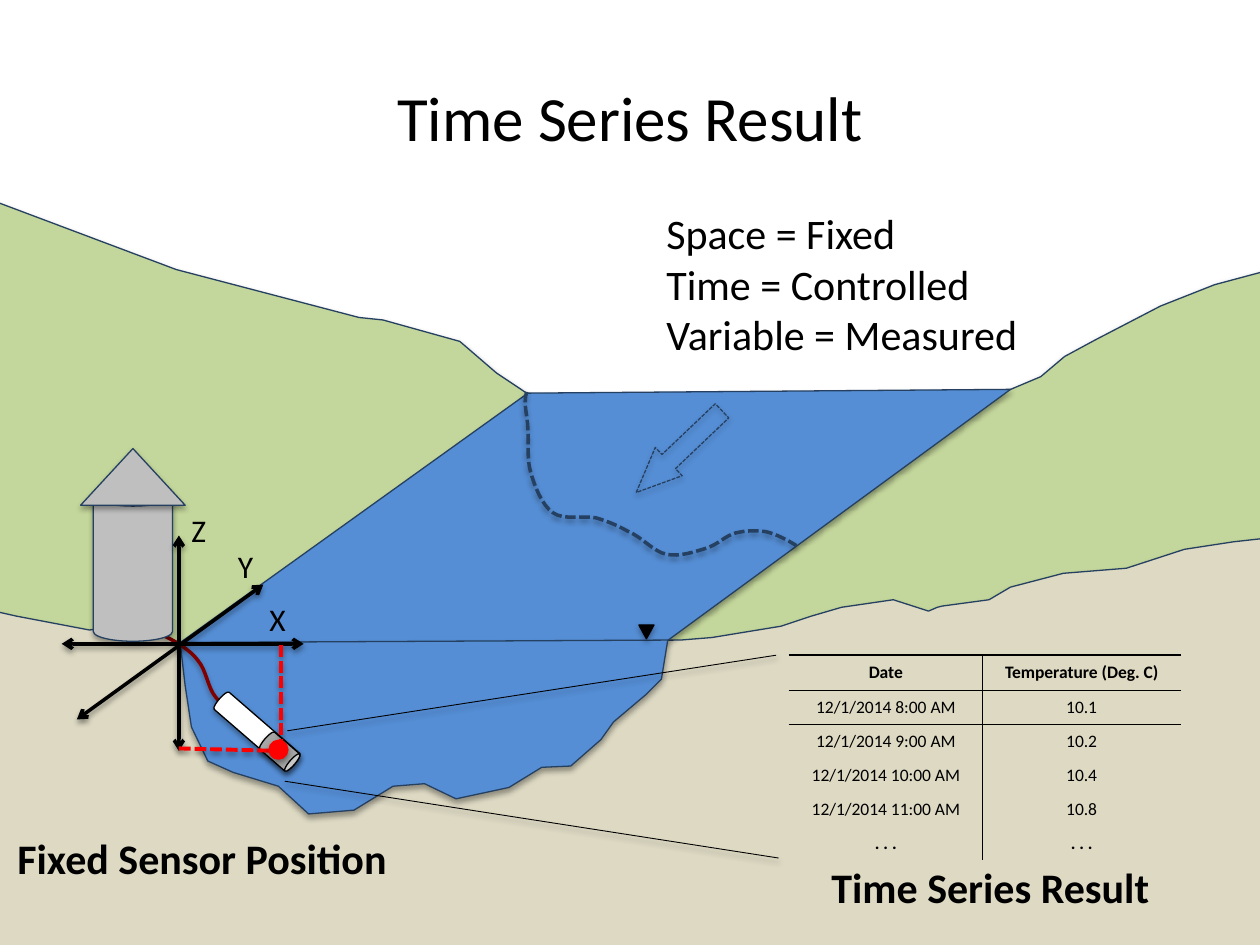
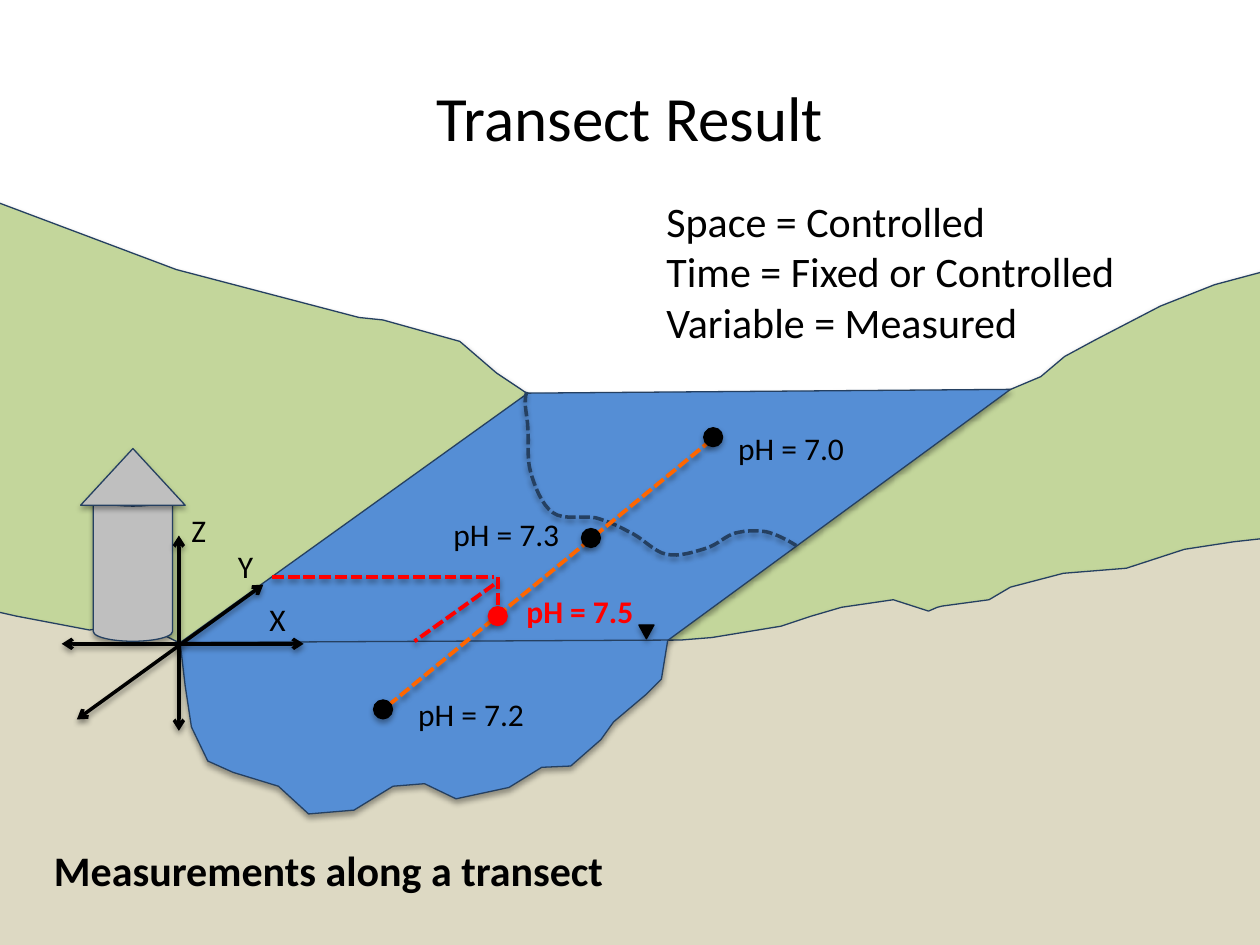
from dataclasses import dataclass

from pptx import Presentation
from pptx.dml.color import RGBColor
from pptx.enum.dml import MSO_LINE
from pptx.enum.shapes import MSO_CONNECTOR, MSO_SHAPE
from pptx.enum.text import MSO_ANCHOR, PP_ALIGN
from pptx.oxml import parse_xml
from pptx.oxml.ns import nsdecls
from pptx.util import Inches, Pt


@dataclass(frozen=True)
class Theme:
    font: str = "Calibri"
    title: int = 36
    heading: int = 24
    label: int = 18
    cell: int = 10
    ink: str = "000000"
    paper: str = "FFFFFF"
    outline: str = "254061"
    bank: str = "C3D69B"
    ground: str = "DDD9C3"
    water: str = "558ED5"
    tower: str = "BFBFBF"
    sensor_tip: str = "A6A6A6"
    cable: str = "800000"
    mark: str = "FF0000"
    transect: str = "FF6600"
    thin: float = 0.5
    edge: float = 0.75
    axis: float = 2
    dash: float = 2.25


T = Theme()
WIDTH, HEIGHT = 10, 7.5
DOT = 0.15
NO_STYLE = "{2D5ABB26-0587-4C30-8999-92F81FD0307C}"

# Scenery outlines, as points in inches
RIGHT_BANK = [(10.2, 2.11), (9.64, 2.26), (9.21, 2.43), (8.69, 2.7), (8.45, 2.83),
              (8.26, 2.99), (8, 3.1), (7.53, 3.22), (5.25, 5.02), (5.19, 7.58),
              (10.43, 7.58)]
LEFT_BANK = [(-0.01, 1.61), (1.4, 2.14), (2.85, 2.52), (3.04, 2.54), (3.65, 2.71),
             (3.94, 2.96), (4.18, 3.12), (4.19, 5.41), (-0.54, 5.49), (-0.5, 1.52)]
GROUND = [(0.13, 4.89), (0.71, 5), (1.02, 4.96), (1.28, 5.03), (1.42, 5.1),
          (5.4, 5.08), (5.65, 5.06), (6.2, 4.97), (6.44, 4.89), (6.68, 4.82),
          (7.09, 4.76), (7.37, 4.85), (7.44, 4.82), (7.48, 4.81), (7.85, 4.76),
          (8.02, 4.66), (8.44, 4.55), (8.94, 4.51), (9.4, 4.36), (9.79, 4.3),
          (10.06, 4.27), (10.07, 7.54), (-0.2, 7.55), (-0.18, 4.82)]
SURFACE = [(1.43, 5.1), (4.19, 3.12), (8.02, 3.09), (5.29, 5.09)]
CROSS_SECTION = [(1.43, 5.1), (5.3, 5.08), (5.25, 5.39), (5.13, 5.51), (4.87, 5.73),
                 (4.77, 5.87), (4.53, 6.08), (4.3, 6.09), (4.04, 6.25), (3.62, 6.34),
                 (3.37, 6.22), (3.12, 6.24), (2.81, 6.43), (2.45, 6.46), (2.21, 6.24),
                 (1.85, 6.13), (1.65, 6.04), (1.52, 5.77), (1.47, 5.44)]

# Curves: a start point, then two controls and an end point per segment
RIVER_BED = [(4.18, 3.11), (4.15, 3.21), (4.19, 3.3), (4.19, 3.41),
             (4.2, 3.51), (4.18, 3.63), (4.21, 3.74),
             (4.24, 3.85), (4.3, 4.01), (4.39, 4.07),
             (4.47, 4.13), (4.63, 4.09), (4.73, 4.11),
             (4.83, 4.14), (4.9, 4.17), (4.99, 4.22),
             (5.09, 4.26), (5.19, 4.38), (5.29, 4.4),
             (5.4, 4.42), (5.51, 4.38), (5.61, 4.35),
             (5.7, 4.32), (5.76, 4.25), (5.84, 4.23),
             (5.92, 4.21), (6, 4.21), (6.08, 4.22),
             (6.16, 4.24), (6.24, 4.28), (6.32, 4.33)]
CABLE = [(1.31, 5.05), (1.41, 5.1), (1.51, 5.16), (1.57, 5.24),
         (1.64, 5.32), (1.65, 5.46), (1.71, 5.53),
         (1.76, 5.6), (1.84, 5.63), (1.91, 5.67)]

AXIS_LABELS = [("Z", 1.42, 4.01), ("X", 2.04, 4.71), ("Y", 1.79, 4.29)]

SERIES = [("Date", "Temperature (Deg. C)"),
          ("12/1/2014 8:00 AM", "10.1"),
          ("12/1/2014 9:00 AM", "10.2"),
          ("12/1/2014 10:00 AM", "10.4"),
          ("12/1/2014 11:00 AM", "10.8"),
          (". . .", ". . .")]
SERIES_COLS = (1.54, 1.57)
SERIES_HEAD, SERIES_ROW = 0.28, 0.27
ZOOM_LINES = [((2.28, 5.8), (6.16, 5.2)), ((2.26, 6.2), (6.18, 6.81))]
SENSOR_OFFSETS = [((2.23, 5.12), (2.23, 5.96)), ((1.42, 5.94), (2.23, 5.96))]
SENSOR_POINT = (2.21, 5.95)

# Text, centre of the dot, corner of the label, colour
SAMPLES = [("pH = 7.2", (3.04, 5.63), (3.22, 5.47), T.ink),
           ("pH = 7.5", (3.95, 4.89), (4.08, 4.65), T.mark),
           ("pH = 7.3", (4.69, 4.27), (3.5, 4.04), T.ink),
           ("pH = 7.0", (5.66, 3.47), (5.76, 3.36), T.ink)]
SAMPLE_OFFSETS = [((3.95, 4.58), (3.95, 4.82)), ((2.16, 4.58), (3.92, 4.58)),
                  ((3.92, 4.64), (3.29, 5.09))]


def rgb(code):
    return RGBColor.from_string(code)


def finish(sp, color, width, dashed=False, alpha=35):
    """Outline a shape or connector and give it the soft drop shadow."""
    sp.line.color.rgb = rgb(color)
    sp.line.width = Pt(width)
    if dashed:
        sp.line.dash_style = MSO_LINE.SQUARE_DOT
    sp._element.spPr.append(parse_xml(
        f'<a:effectLst {nsdecls("a")}><a:outerShdw blurRad="40000" dist="23000" '
        f'dir="5400000" rotWithShape="0"><a:srgbClr val="000000">'
        f'<a:alpha val="{alpha}000"/></a:srgbClr></a:outerShdw></a:effectLst>'))


def fill(sp, color):
    if color:
        sp.fill.solid()
        sp.fill.fore_color.rgb = rgb(color)
    else:
        sp.fill.background()


def add_outline(s, points, color=None, line=T.outline, width=T.edge, dashed=False):
    """Draw a filled closed outline, or an open path when no colour is given."""
    pts = [(Inches(x), Inches(y)) for x, y in points]
    builder = s.shapes.build_freeform(*pts[0])
    builder.add_line_segments(pts[1:], close=bool(color))
    sp = builder.convert_to_shape()
    fill(sp, color)
    finish(sp, line, width, dashed)


def sample_curve(points, steps=8):
    """Turn a chain of cubic segments into closely spaced points."""
    path = [points[0]]
    for i in range(0, len(points) - 1, 3):
        for n in range(1, steps + 1):
            t = n / steps
            weights = ((1 - t) ** 3, 3 * t * (1 - t) ** 2, 3 * t * t * (1 - t), t ** 3)
            path.append(tuple(sum(w * p[k] for w, p in zip(weights, points[i:i + 4]))
                              for k in (0, 1)))
    return path


def add_preset(s, kind, box, color=None, line=T.outline, rotation=0, dashed=False):
    sp = s.shapes.add_shape(kind, *map(Inches, box))
    sp.rotation = rotation
    fill(sp, color)
    finish(sp, line, T.edge, dashed)
    return sp


def add_dot(s, center, color):
    x, y = center
    add_preset(s, MSO_SHAPE.OVAL, (x - DOT / 2, y - DOT / 2, DOT, DOT), color, color)


def add_line(s, start, end, color=T.ink, width=T.axis, dashed=False, arrows=False):
    ln = s.shapes.add_connector(MSO_CONNECTOR.STRAIGHT, *map(Inches, start + end))
    finish(ln, color, width, dashed, alpha=38)
    if arrows:
        for tag in ("headEnd", "tailEnd"):
            ln.line._get_or_add_ln().append(
                parse_xml(f'<a:{tag} {nsdecls("a")} type="arrow"/>'))


def write(tf, text, size=T.label, color=T.ink, bold=False, align=PP_ALIGN.LEFT):
    for i, line in enumerate(text.split("\n")):
        p = tf.paragraphs[0] if i == 0 else tf.add_paragraph()
        p.alignment = align
        r = p.add_run()
        r.text = line
        r.font.name, r.font.size, r.font.bold = T.font, Pt(size), bold
        r.font.color.rgb = rgb(color)


def add_text(s, text, box, wrap=True, anchor=MSO_ANCHOR.TOP, **style):
    tf = s.shapes.add_textbox(*map(Inches, box)).text_frame
    tf.word_wrap = wrap
    tf.vertical_anchor = anchor
    write(tf, text, **style)


def add_heading(s, text, box, bold=True):
    add_text(s, text, box, wrap=False, size=T.heading, bold=bold)


def add_valley(prs, title):
    """Start a slide with the banks, ground, river and title."""
    s = prs.slides.add_slide(prs.slide_layouts[6])
    for points, color in ((RIGHT_BANK, T.bank), (LEFT_BANK, T.bank), (GROUND, T.ground)):
        add_outline(s, points, color)
    add_text(s, title, (0.5, 0.3, WIDTH - 1, 1.25), anchor=MSO_ANCHOR.MIDDLE,
             size=T.title, align=PP_ALIGN.CENTER)
    for points in (SURFACE, CROSS_SECTION):
        add_outline(s, points, T.water)
    add_outline(s, sample_curve(RIVER_BED), width=T.axis, dashed=True)
    return s


def add_station(s, z_bottom):
    """Add the gauge house, its three axes and the water level mark."""
    add_preset(s, MSO_SHAPE.CAN, (0.74, 3.86, 0.63, 1.23), T.tower)
    add_preset(s, MSO_SHAPE.ISOSCELES_TRIANGLE, (0.64, 3.56, 0.83, 0.45), T.tower)
    for start, end in (((1.42, 4.25), (1.42, z_bottom)), ((0.49, 5.11), (2.41, 5.11)),
                       ((2.09, 4.64), (0.61, 5.71))):
        add_line(s, start, end, arrows=True)
    for name, x, y in AXIS_LABELS:
        add_text(s, name, (x, y, 0.35, 0.4))
    add_preset(s, MSO_SHAPE.ISOSCELES_TRIANGLE, (5.07, 4.96, 0.12, 0.11),
               T.ink, T.ink, rotation=180)


def add_border(cell, sides):
    for side in sides:
        cell._tc.get_or_add_tcPr().append(parse_xml(
            f'<a:ln{side} {nsdecls("a")} w="12700"><a:solidFill>'
            f'<a:srgbClr val="{T.ink}"/></a:solidFill></a:ln{side}>'))


def add_series_table(s, left, top):
    height = SERIES_HEAD + SERIES_ROW * (len(SERIES) - 1)
    table = s.shapes.add_table(len(SERIES), len(SERIES_COLS), Inches(left), Inches(top),
                               Inches(sum(SERIES_COLS)), Inches(height)).table
    table.first_row = table.horz_banding = False
    table._tbl.tblPr[0].text = NO_STYLE
    for col, width in zip(table.columns, SERIES_COLS):
        col.width = Inches(width)
    for i, values in enumerate(SERIES):
        table.rows[i].height = Inches(SERIES_ROW if i else SERIES_HEAD)
        for j, value in enumerate(values):
            cell = table.cell(i, j)
            cell.vertical_anchor = MSO_ANCHOR.MIDDLE
            write(cell.text_frame, value, size=T.cell, align=PP_ALIGN.CENTER,
                  bold=i in (0, len(SERIES) - 1))
            sides = ["L" if j else "R"]
            if i == 0:
                sides += ["T", "B"]
            elif i == 1:
                sides += ["T"]
            add_border(cell, sides)
            cell.fill.background()


def build_time_series(prs):
    s = add_valley(prs, "Time Series Result")
    add_outline(s, sample_curve(CABLE), line=T.cable, width=T.axis)
    add_station(s, z_bottom=5.96)
    flow = add_preset(s, MSO_SHAPE.LEFT_ARROW, (4.92, 3.43, 0.94, 0.31),
                      rotation=316.4, dashed=True)
    flow.adjustments[1] = 1.15
    for box, color in (((1.95, 5.41, 0.18, 0.79), T.paper),
                       ((2.13, 5.81, 0.18, 0.31), T.sensor_tip)):
        add_preset(s, MSO_SHAPE.CAN, box, color, T.ink, rotation=130.9)
    add_heading(s, "Fixed Sensor Position", (0.04, 6.56, 3.18, 0.5))
    add_series_table(s, 6.26, 5.2)
    add_heading(s, "Time Series Result", (6.5, 6.79, 2.75, 0.5))
    for start, end in ZOOM_LINES:
        add_line(s, start, end, width=T.thin)
    for start, end in SENSOR_OFFSETS:
        add_line(s, start, end, T.mark, T.dash, dashed=True)
    add_heading(s, "Space = Fixed\nTime = Controlled\nVariable = Measured",
                (5.19, 1.6, 3.04, 1.31), bold=False)
    add_dot(s, SENSOR_POINT, T.mark)


def build_transect(prs):
    s = add_valley(prs, "Transect Result")
    add_station(s, z_bottom=5.8)
    add_heading(s, "Measurements along a transect", (0.33, 6.65, 4.62, 0.5))
    add_line(s, (3.08, 5.6), (5.66, 3.48), T.transect, T.dash, dashed=True)
    for start, end in SAMPLE_OFFSETS:
        add_line(s, start, end, T.mark, T.dash, dashed=True)
    for text, center, corner, color in SAMPLES:
        add_dot(s, center, color)
        add_text(s, text, corner + (1.13, 0.4), color=color, bold=color == T.mark)
    add_heading(s, "Space = Controlled\nTime = Fixed or Controlled\nVariable = Measured",
                (5.19, 1.5, 3.81, 1.31), bold=False)


def main():
    prs = Presentation()
    prs.slide_width, prs.slide_height = Inches(WIDTH), Inches(HEIGHT)
    build_time_series(prs)
    build_transect(prs)
    prs.save("out.pptx")


if __name__ == "__main__":
    main()
